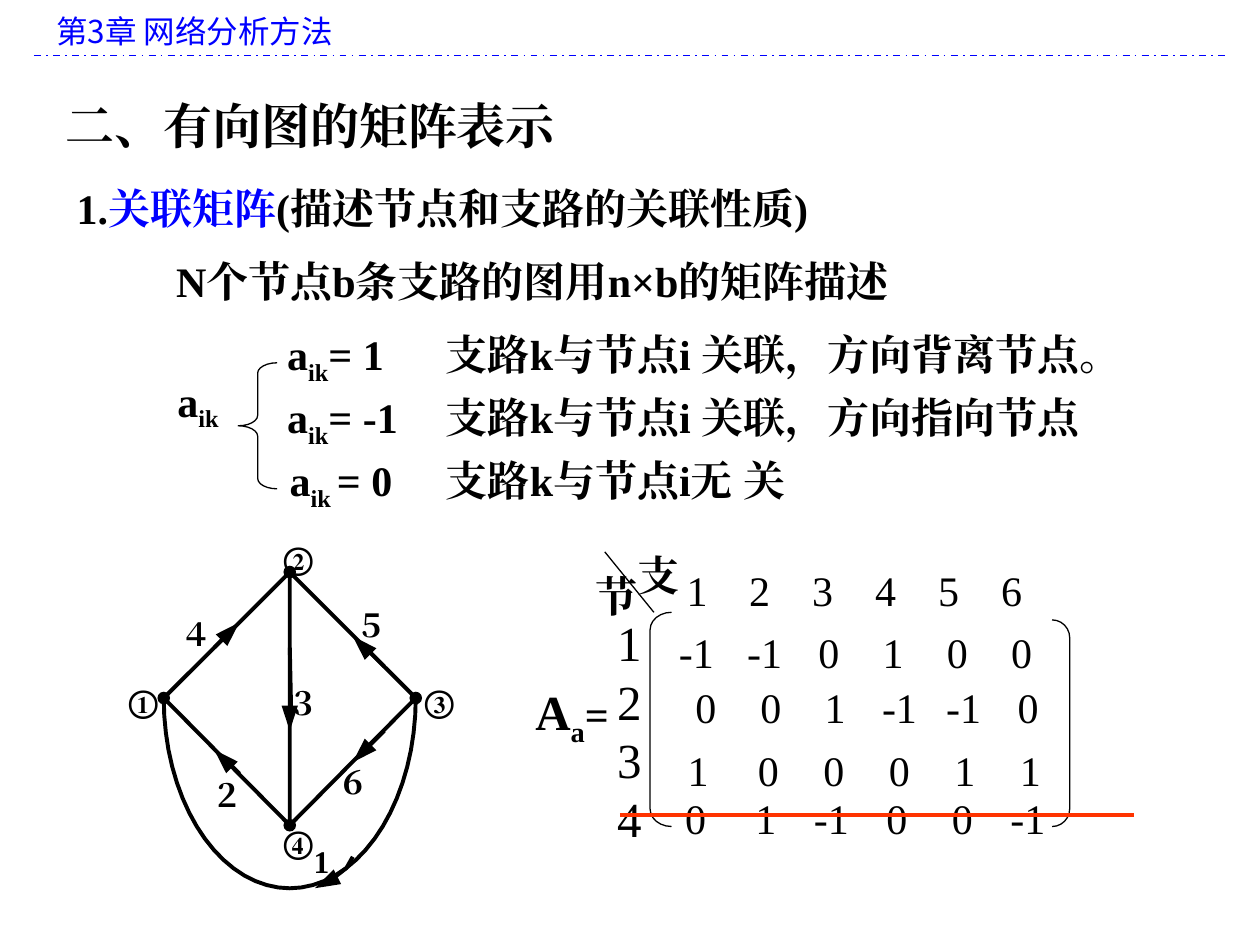
from math import cos, pi, radians, sin

from lxml.etree import SubElement
from pptx import Presentation
from pptx.dml.color import RGBColor
from pptx.enum.dml import MSO_LINE
from pptx.enum.shapes import MSO_CONNECTOR, MSO_SHAPE
from pptx.enum.text import MSO_ANCHOR, MSO_AUTO_SIZE, PP_ALIGN
from pptx.oxml.ns import qn
from pptx.util import Inches, Pt

COLORS = {"ink": "000000", "blue": "0000FF", "strike": "FF3300"}
SERIF, SANS = "Times New Roman", "Noto Sans CJK SC"
SUB = {"sub": True}


def color(name):
    return RGBColor.from_string(COLORS[name])


class Board:
    """Holds the text style and the current slide."""

    style = {"size": 24, "bold": True, "name": SERIF, "color": "ink"}

    def __init__(self, slide):
        self.slide = slide

    def fill_text(self, box, paragraphs, wrap=True, inset=None, tabs=(), **style):
        """Each paragraph is a string or a list of (text, style changes)."""
        frame = box.text_frame
        settings = {"word_wrap": wrap, "vertical_anchor": MSO_ANCHOR.TOP,
                    "auto_size": MSO_AUTO_SIZE.SHAPE_TO_FIT_TEXT}
        if inset is not None:
            for side in ("left", "top", "right", "bottom"):
                settings[f"margin_{side}"] = Inches(inset)
        for key, value in settings.items():
            setattr(frame, key, value)
        for index, spans in enumerate(paragraphs):
            para = frame.add_paragraph() if index else frame.paragraphs[0]
            para.alignment = PP_ALIGN.LEFT
            if tabs:
                stops = SubElement(para._p.get_or_add_pPr(), qn("a:tabLst"))
                for position, align in tabs:
                    SubElement(stops, qn("a:tab"), pos=str(Inches(position)), algn=align)
            for text, changes in [(spans, {})] if isinstance(spans, str) else spans:
                self.add_span(para, text, {**self.style, **style, **changes})

    def add_span(self, para, text, style):
        span = para.add_run()
        span.text = text
        values = {"size": Pt(style["size"]), "bold": style["bold"], "name": style["name"]}
        for key, value in values.items():
            setattr(span.font, key, value)
        span.font.color.rgb = color(style["color"])
        properties = span._r.get_or_add_rPr()
        SubElement(properties, qn("a:ea"), typeface=style["name"])
        if style.get("sub"):
            properties.set("baseline", "-25000")

    def title(self, place, text, **style):
        box = self.slide.shapes.title
        for key, value in zip(("left", "top", "width", "height"), place):
            setattr(box, key, Inches(value))
        self.fill_text(box, [text], **style)

    def text(self, place, *paragraphs, **style):
        box = self.slide.shapes.add_textbox(*map(Inches, place))
        self.fill_text(box, paragraphs, **style)

    def line(self, start, end, width=2.25, ink="ink", dash=None):
        line = self.slide.shapes.add_connector(
            MSO_CONNECTOR.STRAIGHT, *map(Inches, (*start, *end)))
        line.line.color.rgb = color(ink)
        line.line.width = Pt(width)
        if dash:
            line.line.dash_style = dash
        SubElement(line._element.spPr, qn("a:effectLst"))

    def paint(self, shape, solid, width):
        shape.shadow.inherit = False
        if solid:
            shape.fill.solid()
            shape.fill.fore_color.rgb = color("ink")
            shape.line.fill.background()
        else:
            shape.fill.background()
            shape.line.color.rgb = color("ink")
            shape.line.width = Pt(width)

    def shape(self, kind, place, adjust=(), solid=False, width=0.75):
        shape = self.slide.shapes.add_shape(kind, *map(Inches, place))
        for index, value in enumerate(adjust):
            shape.adjustments[index] = value
        self.paint(shape, solid, width)

    def outline(self, points, close=False, solid=False, width=2.25):
        first, *rest = [(Inches(x), Inches(y)) for x, y in points]
        builder = self.slide.shapes.build_freeform(*first)
        builder.add_line_segments(rest, close=close)
        self.paint(builder.convert_to_shape(), solid, width)

    def arrowhead(self, tip, degrees, length=0.2, half=0.065):
        """Filled triangle pointing along an angle measured clockwise from right."""
        x, y = tip
        dx, dy = cos(radians(degrees)), sin(radians(degrees))
        base_x, base_y = x - length * dx, y - length * dy
        self.outline([tip, (base_x - half * dy, base_y + half * dx),
                      (base_x + half * dy, base_y - half * dx)], close=True, solid=True)


def draw_definitions(board):
    board.text((0.35, 0.05, 9.37, 0.4), "第3章 网络分析方法",
               size=18, bold=False, name=SANS, color="blue")
    board.line((0.27, 0.44), (9.72, 0.44), 1, "blue", MSO_LINE.DASH_DOT)
    board.title((0.42, 0.71, 9.15, 0.57), "二、有向图的矩阵表示", size=28)
    board.text((0.51, 1.4, 9.01, 0.5), [
        ("1.", {}), ("关联矩阵", {"color": "blue"}), ("(描述节点和支路的关联性质)", {})])
    board.text((1.3, 1.98, 6.97, 0.5), "N个节点b条支路的图用n×b的矩阵描述")
    board.text((1.31, 2.93, 0.55, 0.5), [("a", {}), ("ik", SUB)], wrap=False)
    board.shape(MSO_SHAPE.LEFT_BRACE, (1.89, 2.88, 0.31, 1), (0.265, 0.5))
    cases = [(2.18, "ik", "= 1\t支路k与节点i 关联，方向背离节点。"),
             (2.18, "ik", "= -1\t支路k与节点i 关联，方向指向节点"),
             (2.2, "ik ", "= 0\t支路k与节点i无 关")]
    for row, (left, index, meaning) in enumerate(cases):
        board.text((left, 2.56 + 0.5 * row, 7.39, 0.5),
                   [("a", {}), (index, SUB), (meaning, {})],
                   tabs=[(3.54 - left - 0.1, "l")])


def draw_graph(board):
    left, top, right, bottom = (1.3, 5.54), (2.3, 4.54), (3.3, 5.54), (2.3, 6.55)
    board.outline([bottom, left, top], close=True)
    board.outline([top, right, bottom])
    steps = 34
    board.outline([(2.3 - cos(pi * step / steps), 5.54 + 1.51 * sin(pi * step / steps))
                   for step in range(steps + 1)])
    for x, y in (left, top, right, bottom):
        board.shape(MSO_SHAPE.OVAL, (x - 0.05, y - 0.05, 0.1, 0.1), solid=True)

    board.outline([(2.8, 6.8), (2.75, 6.89), (2.66, 6.96)])
    shafts = [((2.3, 5.14), (2.31, 5.61)), ((1.7, 5.14), (1.77, 5.07)),
              ((1.9, 6.14), (1.83, 6.07)), ((3.05, 5.29), (2.93, 5.17)),
              ((3.05, 5.8), (2.93, 5.92))]
    for start, end in shafts:
        board.line(start, end)
    heads = [((2.5, 7.05), 153), ((2.3, 5.8), 90), ((1.9, 4.94), -45),
             ((1.7, 5.95), 225), ((2.8, 5.05), 225), ((2.8, 6.05), 135)]
    for tip, degrees in heads:
        board.arrowhead(tip, degrees)

    labels = [("1", 2.49, 6.68), ("２", 1.68, 6.16), ("３", 2.28, 5.43),
              ("６", 2.68, 6.06), ("５", 2.82, 4.81), ("４", 1.43, 4.88),
              ("①", 1.02, 5.41), ("②", 2.25, 4.28), ("④", 2.25, 6.53), ("③", 3.37, 5.41)]
    for label, x, y in labels:
        board.text((x, y, 0.13 if label == "1" else 0.25, 0.3), label,
                   size=18, wrap=False, inset=0)


def draw_matrix(board):
    board.line((4.8, 4.38), (5.19, 4.86), 0.75)
    board.text((4.96, 4.31, 0.54, 0.5), "支", wrap=False)
    board.text((4.63, 4.48, 0.54, 0.5), "节", wrap=False)
    board.text((4.15, 5.36, 0.8, 0.57),
               [("A", {}), ("a", SUB), ("=", {"size": 24})], size=28, wrap=False)
    board.text((4.8, 4.81, 0.4, 1.97), *"1234", size=28, bold=False, wrap=False)
    board.shape(MSO_SHAPE.LEFT_BRACKET, (5.16, 4.86, 0.17, 1.7), (0.815,))
    board.shape(MSO_SHAPE.RIGHT_BRACKET, (8.35, 4.92, 0.14, 1.64), (1.011,))
    # left, top, first column centre, column step, values
    rows = [(5.35, 4.43, 5.53, 0.5, (1, 2, 3, 4, 5, 6)),
            (5.29, 4.92, 5.56, 0.51, (-1, -1, 0, 1, 0, 0)),
            (5.42, 5.36, 5.61, 0.51, (0, 0, 1, -1, -1, 0)),
            (5.36, 5.86, 5.58, 0.52, (1, 0, 0, 0, 1, 1)),
            (5.34, 6.24, 5.56, 0.52, (0, 1, -1, 0, 0, -1))]
    for left, top, centre, step, values in rows:
        tabs = [(centre + step * column - left - 0.1, "ctr") for column in range(1, 6)]
        board.text((left, top, 8.5 - left, 0.5), "\t".join(map(str, values)),
                   bold=False, tabs=tabs)
    board.line((4.92, 6.47), (9, 6.47), ink="strike")


def main():
    deck = Presentation()
    deck.slide_width, deck.slide_height = Inches(10), Inches(7.5)
    page = deck.slides.add_slide(deck.slide_layouts[5])
    board = Board(page)
    draw_definitions(board)
    draw_graph(board)
    draw_matrix(board)
    deck.save("out.pptx")


if __name__ == "__main__":
    main()
